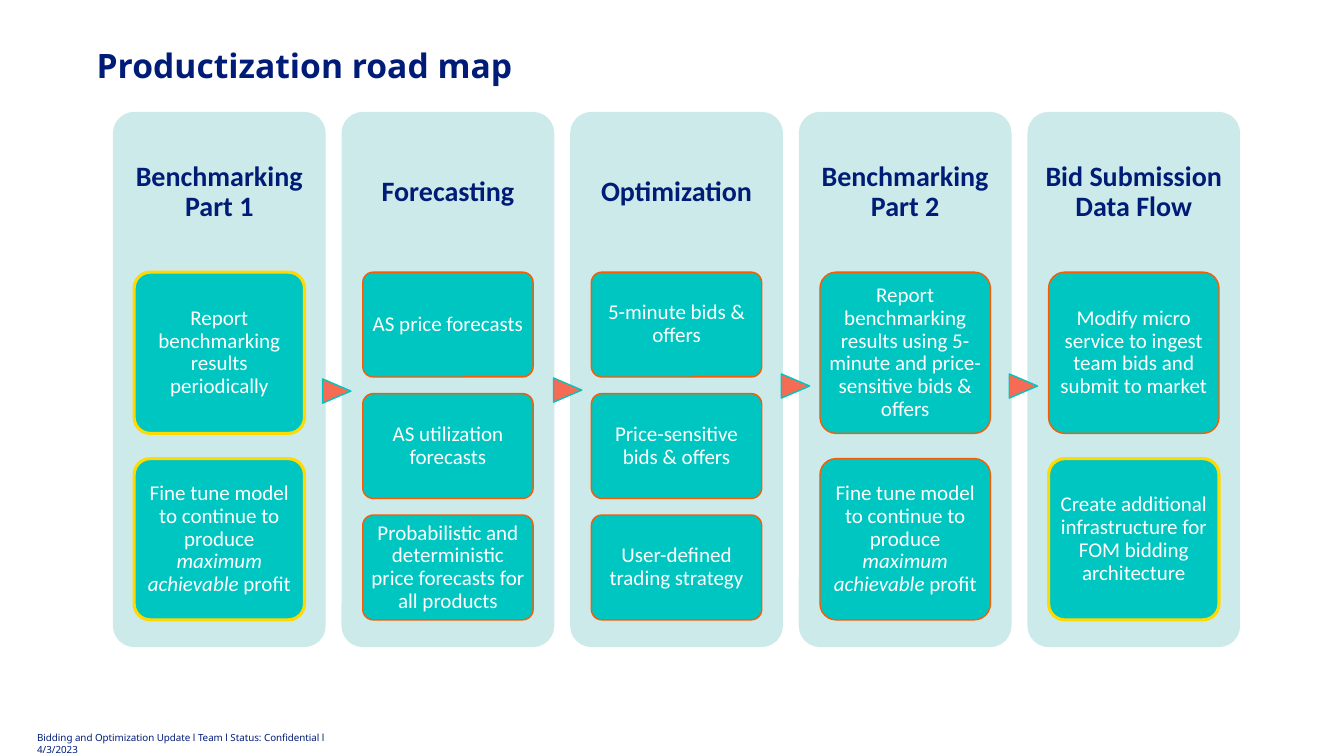
"""Build the productization road map slide."""
from dataclasses import dataclass

import pptx
import pptx.dml.color
import pptx.enum.shapes
import pptx.enum.text
import pptx.util

Inches = pptx.util.Inches
Pt = pptx.util.Pt
Shape = pptx.enum.shapes.MSO_SHAPE
Align = pptx.enum.text.PP_ALIGN
Anchor = pptx.enum.text.MSO_ANCHOR


@dataclass(frozen=True)
class Theme:
    navy: str = "001C77"
    white: str = "FFFFFF"
    panel: str = "CCEAE9"
    teal: str = "00C6C1"
    yellow: str = "FFDA00"
    orange: str = "F75C03"
    coral: str = "F66B54"
    heading_font: str = "Noto Sans"
    body_font: str = "Calibri"
    title_size: float = 24
    stage_size: float = 20
    task_size: float = 15
    footer_size: float = 7


THEME = Theme()
DONE = (THEME.yellow, 2.25)
PLANNED = (THEME.orange, 1)

FINE_TUNE = [
    ("Fine tune model to continue to produce ", False),
    ("maximum achievable", True),
    (" profit", False),
]

STAGES = [
    ("Benchmarking Part 1", [
        ([("Report benchmarking results periodically", False)], DONE),
        (FINE_TUNE, DONE),
    ]),
    ("Forecasting", [
        ([("AS price forecasts", False)], PLANNED),
        ([("AS utilization forecasts", False)], PLANNED),
        ([("Probabilistic and deterministic price forecasts for all products", False)], PLANNED),
    ]),
    ("Optimization", [
        ([("5-minute bids & offers", False)], PLANNED),
        ([("Price-sensitive bids & offers", False)], PLANNED),
        ([("User-defined trading strategy", False)], PLANNED),
    ]),
    ("Benchmarking Part 2", [
        ([("Report benchmarking results using 5-minute and price-sensitive bids & offers", False)],
         PLANNED),
        (FINE_TUNE, PLANNED),
    ]),
    ("Bid Submission Data Flow", [
        ([("Modify micro service to ingest team bids and submit to market", False)], PLANNED),
        ([("Create additional infrastructure for FOM bidding architecture", False)], DONE),
    ]),
]

PANEL_LEFT, PANEL_TOP, PANEL_WIDTH, PANEL_HEIGHT = 1.12, 1.11, 2.11, 5.31
LAST_PANEL_LEFT = 10.19
PANEL_PITCH = (LAST_PANEL_LEFT - PANEL_LEFT) / (len(STAGES) - 1)
HEADER_HEIGHT = 1.59
TASK_INDENT, TASK_TOP, TASK_BOTTOM, TASK_WIDTH = 0.21, 2.7, 6.15, 1.69
TASK_HEIGHTS = {2: 1.6, 3: 1.04}
ARROWS = [(3.22, 3.74), (5.51, 3.73), (7.77, 3.69), (10.03, 3.69)]


def color(value):
    """Turn a hex value into a colour."""
    return pptx.dml.color.RGBColor.from_string(value)


def add_spans(para, spans, font, size, ink, bold=False):
    """Add styled runs, each given as text and italic flag."""
    for text, italic in spans:
        span = para.add_run()
        span.text = text
        span.font.name = font
        span.font.size = Pt(size)
        span.font.bold = bold
        span.font.italic = italic
        span.font.color.rgb = color(ink)


def center_text(box, side, edge):
    """Centre the text of a box within margins and return its paragraph."""
    frame = box.text_frame
    frame.word_wrap = True
    frame.vertical_anchor = Anchor.MIDDLE
    frame.margin_left = frame.margin_right = Inches(side)
    frame.margin_top = frame.margin_bottom = Inches(edge)
    para = frame.paragraphs[0]
    para.alignment = Align.CENTER
    para.line_spacing = 0.9
    return para


def add_figure(page, kind, place, fill, line=None):
    """Add a flat preset shape with an optional outline."""
    figure = page.shapes.add_shape(kind, *map(Inches, place))
    figure.shadow.inherit = False
    figure.fill.solid()
    figure.fill.fore_color.rgb = color(fill)
    if line:
        figure.line.color.rgb = color(line[0])
        figure.line.width = Pt(line[1])
    else:
        figure.line.fill.background()
    return figure


def add_rounded(page, place, fill, line=None):
    """Add a rectangle with slightly rounded corners."""
    figure = add_figure(page, Shape.ROUNDED_RECTANGLE, place, fill, line)
    figure.adjustments[0] = 0.1
    return figure


def add_label(page, place, text, size, bold=False, wrap=True):
    """Add a left-aligned text box in the heading font."""
    box = page.shapes.add_textbox(*map(Inches, place))
    box.text_frame.word_wrap = wrap
    para = box.text_frame.paragraphs[0]
    add_spans(para, [(text, False)], THEME.heading_font, size, THEME.navy, bold)
    return para


def add_task(page, place, spans, line):
    """Add one task card."""
    card = add_rounded(page, place, THEME.teal, line)
    para = center_text(card, 0.04, 0.03)
    add_spans(para, spans, THEME.body_font, THEME.task_size, THEME.white)


def add_stage(page, left, name, tasks):
    """Add a panel with its header and evenly spaced task cards."""
    add_rounded(page, (left, PANEL_TOP, PANEL_WIDTH, PANEL_HEIGHT), THEME.panel)
    header = page.shapes.add_textbox(
        *map(Inches, (left, PANEL_TOP, PANEL_WIDTH, HEADER_HEIGHT)))
    para = center_text(header, 0.08, 0.08)
    add_spans(para, [(name, False)], THEME.body_font, THEME.stage_size, THEME.navy, bold=True)
    height = TASK_HEIGHTS[len(tasks)]
    step = (TASK_BOTTOM - TASK_TOP - height) / (len(tasks) - 1)
    for row, (spans, line) in enumerate(tasks):
        place = (left + TASK_INDENT, TASK_TOP + row * step, TASK_WIDTH, height)
        add_task(page, place, spans, line)


def add_arrow(page, left, top):
    """Add a triangle pointing to the next stage."""
    arrow = add_figure(page, Shape.ISOSCELES_TRIANGLE, (left, top, 0.24, 0.28),
                       THEME.coral, (THEME.teal, 1))
    arrow.rotation = 90


def main():
    """Build and save the deck."""
    deck = pptx.Presentation()
    deck.slide_width, deck.slide_height = Inches(13.33), Inches(7.5)
    page = deck.slides.add_slide(deck.slide_layouts[6])
    add_label(page, (0.27, 7.21, 3.45, 0.22),
              "Bidding and Optimization Update l Team l Status: Confidential l 4/3/2023",
              THEME.footer_size, wrap=False)
    title = add_label(page, (0.86, 0.44, 8.18, 0.51), "Productization road map",
                      THEME.title_size, bold=True)
    title.line_spacing = 0.9
    title.space_before = Pt(10)
    for column, (name, tasks) in enumerate(STAGES):
        add_stage(page, PANEL_LEFT + column * PANEL_PITCH, name, tasks)
    for left, top in ARROWS:
        add_arrow(page, left, top)
    deck.save("out.pptx")


if __name__ == "__main__":
    main()
